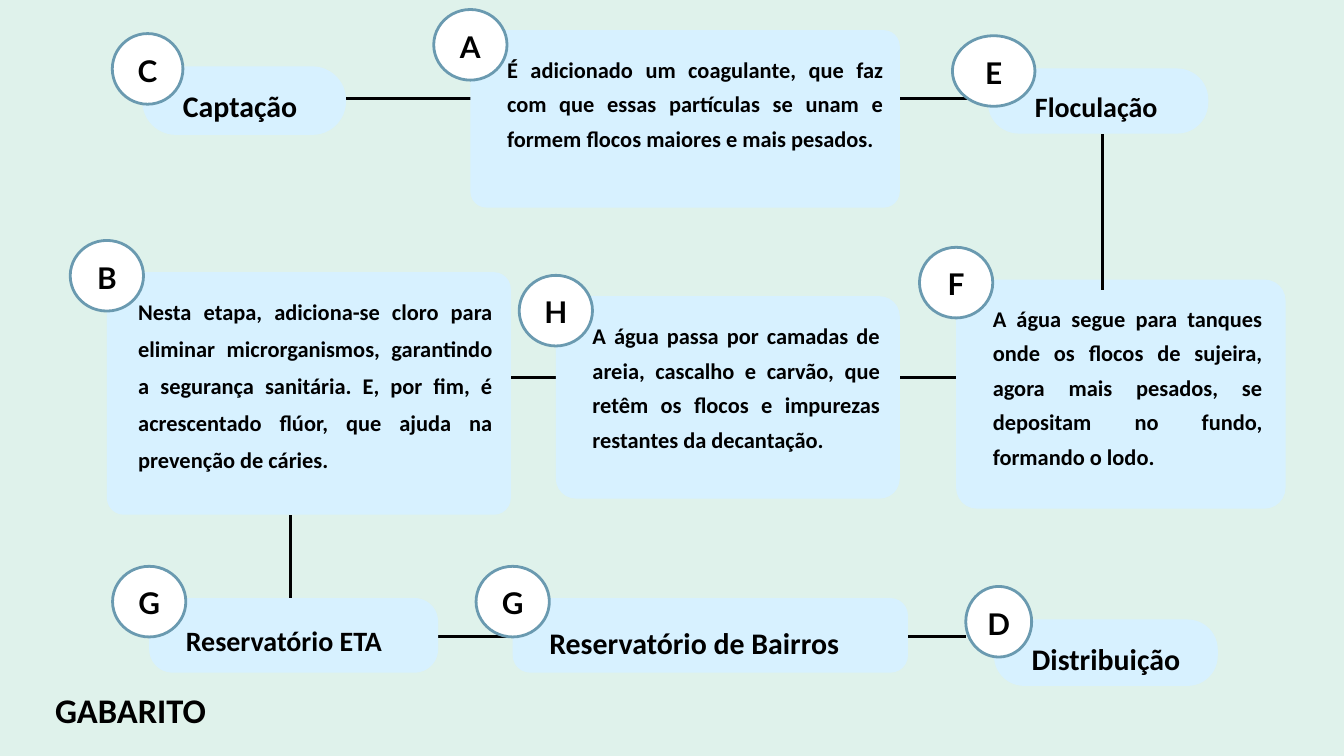
"""Build the answer-key flow chart of the water treatment stages."""
from dataclasses import dataclass
from typing import Optional

from lxml import etree
from pptx import Presentation
from pptx import util as u
from pptx.dml.color import RGBColor
from pptx.enum import shapes, text
from pptx.oxml.ns import qn

BACKGROUND, CARD, WHITE, RIM, BLACK = "DFF2EB", "D7F1FF", "FFFFFF", "6A9AB0", "000000"
BADGE_HEIGHT = 2.67
LEADING = 1.54


@dataclass
class Box:
    left: float
    top: float
    width: float
    height: float

    def lengths(self) -> list:
        return [u.Cm(v) for v in (self.left, self.top, self.width, self.height)]


@dataclass
class Stage:
    letter: str
    label: str
    card: Box
    radius: float
    badge_top: float
    label_top: float
    label_width: float
    label_height: float
    size: int = 24
    badge_width: float = 2.77
    badge_shift: float = 0
    label_shift: float = 0
    leading: Optional[float] = None


@dataclass
class Link:
    x1: float
    y1: float
    x2: float
    y2: float


STAGES = [
    Stage("C", "Captação", Box(5.38, 2.51, 7.7, 2.59), 1.27, 1.27, 2.92, 6.99, 1.55,
          size=32, badge_width=2.67, badge_shift=0.2),
    Stage("H", "A água passa por camadas de areia, cascalho e carvão, que retêm os flocos "
          "e impurezas restantes da decantação.",
          Box(21.01, 11.2, 13, 7.65), 0.76, 10.41, 11.89, 10.87, 6.32),
    Stage("B", "Nesta etapa, adiciona-se cloro para eliminar microrganismos, garantindo a "
          "segurança sanitária. E, por fim, é acrescentado flúor, que ajuda na prevenção "
          "de cáries.",
          Box(4.04, 10.29, 15.27, 9.17), 0.64, 9.09, 10.9, 13.39, 8.08,
          label_shift=-0.2, leading=39.6),
    Stage("E", "Floculação", Box(37.34, 2.59, 8.33, 2.46), 1.17, 1.35, 3.02, 8.2, 1.45,
          size=30, badge_width=3.12, badge_shift=0.22),
    Stage("D", "Distribuição", Box(37.57, 23.42, 8.46, 2.51), 1.14, 22.17, 23.83, 6.53, 1.55,
          size=32, badge_width=2.49, badge_shift=0.18),
    Stage("F", "A água segue para tanques onde os flocos de sujeira, agora mais pesados, se "
          "depositam no fundo, formando o lodo.",
          Box(36.14, 10.57, 12.45, 8.66), 0.79, 9.35, 11.23, 10.19, 7.62),
    Stage("G", "Reservatório ETA", Box(5.64, 22.61, 10.92, 2.82), 0.89, 21.41, 23.22, 12.73,
          1.45, size=30),
    Stage("A", "É adicionado um coagulante, que faz com que essas partículas se unam e "
          "formem flocos maiores e mais pesados.",
          Box(17.78, 1.14, 16.23, 6.71), 0.61, 0.36, 1.83, 14.22, 5.03),
    Stage("G", "Reservatório de Bairros", Box(19.38, 22.61, 14.94, 2.82), 0.66, 21.41, 23.22,
          12.73, 1.55, size=32),
]
LINKS_BEHIND = [
    Link(12.95, 3.71, 41.28, 3.71),
    Link(19.3, 14.27, 36.5, 14.27),
    Link(36.5, 24.05, 15.47, 24.05),
    Link(10.97, 19.48, 10.97, 24.05),
]
LINK_TO_SETTLING = Link(41.66, 10.95, 41.66, 5.05)


def paint(color_format, value: str) -> None:
    color_format.rgb = RGBColor.from_string(value)


def write(shape, words: str, font_name: str, size: float, leading: float, align) -> None:
    frame = shape.text_frame
    frame.word_wrap = True
    frame.margin_left = frame.margin_right = frame.margin_top = frame.margin_bottom = 0
    paragraph = frame.paragraphs[0]
    paragraph.text = words
    paragraph.alignment = align
    paragraph.line_spacing = u.Pt(leading)
    paragraph.font.name = font_name
    paragraph.font.size = u.Pt(size)
    paragraph.font.bold = True
    paint(paragraph.font.color, BLACK)


def add_label(slide, box: Box, words: str, size: int, leading: Optional[float] = None) -> None:
    label = slide.shapes.add_textbox(*box.lengths())
    write(label, words, "Calibri", size, leading or round(size * LEADING, 1),
          text.PP_ALIGN.JUSTIFY)
    label.text_frame.auto_size = text.MSO_AUTO_SIZE.SHAPE_TO_FIT_TEXT


def add_plain_shape(slide, preset, box: Box, fill: str):
    shape = slide.shapes.add_shape(preset, *box.lengths())
    shape.shadow.inherit = False
    shape.fill.solid()
    paint(shape.fill.fore_color, fill)
    shape.line.fill.background()
    return shape


def add_link(slide, link: Link) -> None:
    ends = [u.Cm(v) for v in (link.x1, link.y1, link.x2, link.y2)]
    connector = slide.shapes.add_connector(shapes.MSO_CONNECTOR.STRAIGHT, *ends)
    paint(connector.line.color, BLACK)
    connector.line.width = u.Pt(3)
    etree.SubElement(connector._element.spPr, qn("a:effectLst"))


def add_stage(slide, stage: Stage) -> None:
    card = add_plain_shape(slide, shapes.MSO_SHAPE.ROUNDED_RECTANGLE, stage.card, CARD)
    card.adjustments[0] = stage.radius / min(stage.card.width, stage.card.height)

    badge_left = stage.card.left + stage.badge_shift - stage.badge_width / 2
    badge_box = Box(badge_left, stage.badge_top, stage.badge_width, BADGE_HEIGHT)
    badge = add_plain_shape(slide, shapes.MSO_SHAPE.OVAL, badge_box, WHITE)
    paint(badge.line.color, RIM)
    badge.line.width = u.Pt(3)
    write(badge, stage.letter, "Lato", 32, 44.8, text.PP_ALIGN.CENTER)
    badge.text_frame.vertical_anchor = text.MSO_ANCHOR.MIDDLE
    badge.text_frame.margin_bottom = u.Cm(0.12)

    label_left = badge_left + stage.badge_width + stage.label_shift
    label_box = Box(label_left, stage.label_top, stage.label_width, stage.label_height)
    add_label(slide, label_box, stage.label, stage.size, stage.leading)


def main() -> None:
    deck = Presentation()
    deck.slide_width, deck.slide_height = u.Cm(50.8), u.Cm(28.58)
    slide = deck.slides.add_slide(deck.slide_layouts[6])
    slide.background.fill.solid()
    paint(slide.background.fill.fore_color, BACKGROUND)

    for link in LINKS_BEHIND:
        add_link(slide, link)
    for stage in STAGES:
        add_stage(slide, stage)
    add_link(slide, LINK_TO_SETTLING)
    add_label(slide, Box(2.08, 25.6, 8.13, 1.85), "GABARITO", 37)
    deck.save("out.pptx")


if __name__ == "__main__":
    main()
